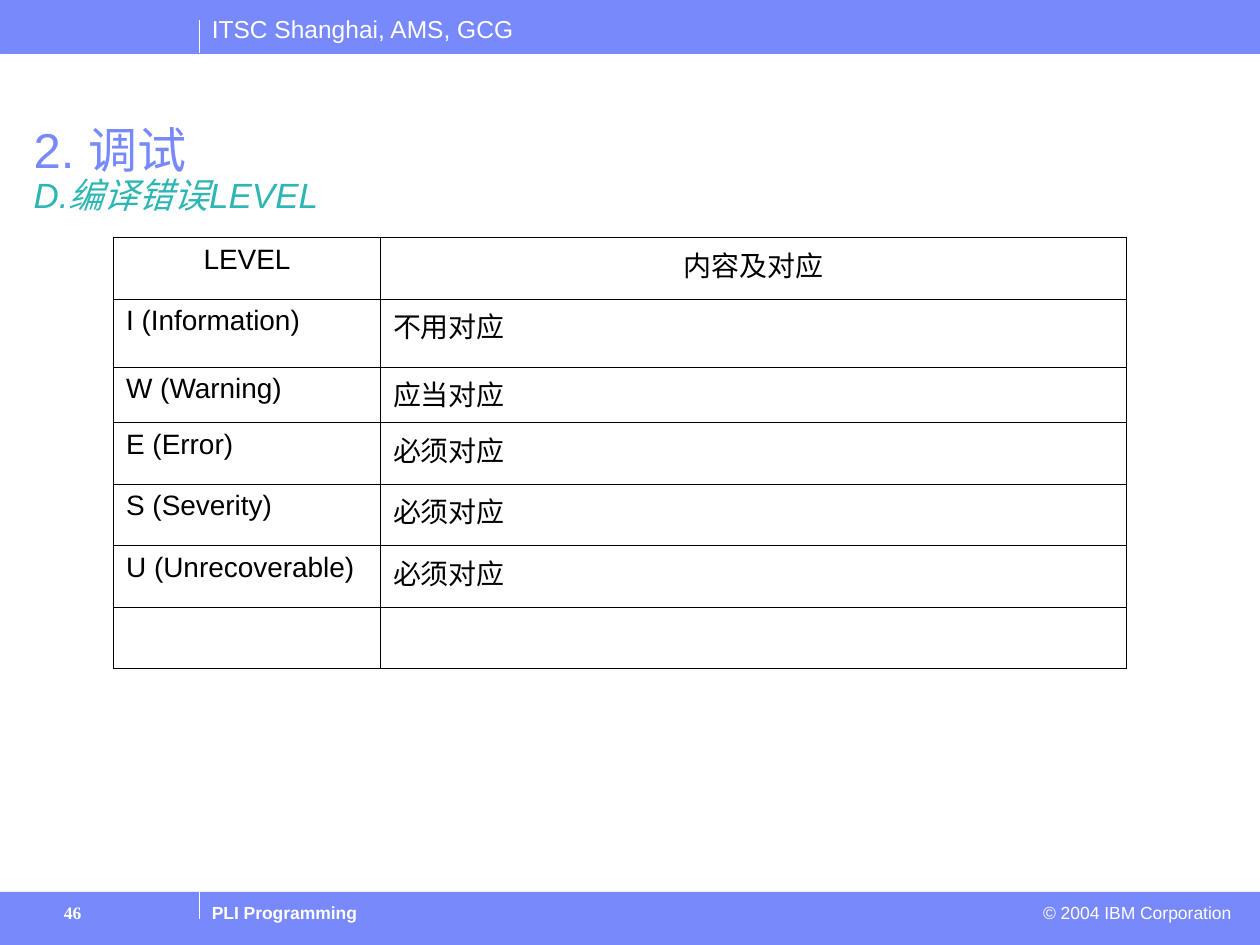
"""Build the slide on compiler error levels."""
from dataclasses import dataclass

from lxml import etree
from pptx import Presentation
from pptx.dml.color import RGBColor
from pptx.enum.shapes import MSO_CONNECTOR, MSO_SHAPE
from pptx.enum.text import MSO_ANCHOR, MSO_AUTO_SIZE, PP_ALIGN
from pptx.oxml.ns import qn
from pptx.util import Cm, Pt

LEFT, CENTER, RIGHT = PP_ALIGN.LEFT, PP_ALIGN.CENTER, PP_ALIGN.RIGHT
TOP = MSO_ANCHOR.TOP
GROW = MSO_AUTO_SIZE.SHAPE_TO_FIT_TEXT
RECTANGLE = MSO_SHAPE.RECTANGLE
STRAIGHT = MSO_CONNECTOR.STRAIGHT


@dataclass(frozen=True)
class Theme:
    """Colours, fonts and type sizes of the slide."""

    band: RGBColor = RGBColor(0x78, 0x89, 0xFB)
    accent: RGBColor = RGBColor(0x2D, 0xB6, 0xB3)
    light: RGBColor = RGBColor(0xFF, 0xFF, 0xFF)
    dark: RGBColor = RGBColor(0, 0, 0)
    sans: str = "Arial"
    serif: str = "Times New Roman"
    title: Pt = Pt(28)
    subtitle: Pt = Pt(20)
    table: Pt = Pt(16)
    header: Pt = Pt(14)
    footer: Pt = Pt(10)
    border: Pt = Pt(0.45)


THEME = Theme()
WIDTH, HEIGHT, BAND_HEIGHT = Cm(25.4), Cm(19.05), Cm(1.07)
DIVIDER_X = Cm(4.02)
FOOTER_Y = Cm(18.06)
COLUMN_WIDTHS = (Cm(5.38), Cm(15.04))
ROW_HEIGHTS = (Cm(1.24), Cm(1.37), Cm(1.12)) + (Cm(1.24),) * 4
LEVELS = (
    ("LEVEL", "内容及对应"),
    ("I (Information)", "不用对应"),
    ("W (Warning)", "应当对应"),
    ("E (Error)", "必须对应"),
    ("S (Severity)", "必须对应"),
    ("U (Unrecoverable)", "必须对应"),
    ("", ""),
)


def style_font(font, size, color, name=THEME.sans, bold=False, italic=False):
    """Apply type settings to a paragraph or run font."""
    font.size, font.name = size, name
    font.bold, font.italic = bold, italic
    font.color.rgb = color


def add_band(slide, top):
    """Draw a full-width coloured band."""
    band = slide.shapes.add_shape(RECTANGLE, 0, top, WIDTH, BAND_HEIGHT)
    band.shadow.inherit = False
    band.fill.solid()
    band.fill.fore_color.rgb = THEME.band
    band.line.color.rgb = THEME.band
    band.line.width = Pt(0.25)


def add_divider(slide, top, bottom):
    """Draw a thin vertical line inside a band."""
    divider = slide.shapes.add_connector(STRAIGHT, DIVIDER_X, top, DIVIDER_X, bottom)
    divider.line.color.rgb = THEME.light
    divider.line.width = Pt(0.75)
    etree.SubElement(divider._element.spPr, qn("a:effectLst"))


def add_frame(slide, left, top, width, height, wrap=True):
    """Add a top-anchored text box and return its text frame."""
    frame = slide.shapes.add_textbox(left, top, width, height).text_frame
    frame.word_wrap = wrap
    frame.vertical_anchor = TOP
    return frame


def add_label(slide, text, box, size, align=LEFT, bold=False, wrap=True):
    """Add a one-line light label that fits its text."""
    frame = add_frame(slide, *box, wrap=wrap)
    frame.auto_size = GROW
    label = frame.paragraphs[0]
    label.text, label.alignment = text, align
    style_font(label.font, size, THEME.light, bold=bold)


def add_title(slide):
    """Add the heading with its italic second line."""
    frame = add_frame(slide, Cm(0.43), Cm(2.41), Cm(22.91), Cm(1.4))
    heading = frame.paragraphs[0]
    heading.line_spacing = 0.9
    topic = heading.add_run()
    topic.text = "2. 调试"
    style_font(topic.font, THEME.title, THEME.band)
    heading.add_line_break()
    section = heading.add_run()
    section.text = "D.编译错误LEVEL"
    style_font(section.font, THEME.subtitle, THEME.accent, italic=True)


def add_page_number(slide, number):
    """Add the indented page number in the lower band."""
    frame = add_frame(slide, Cm(0.43), FOOTER_Y, Cm(2.79), Cm(0.89))
    page = frame.paragraphs[0]
    page.text = number
    page._p.get_or_add_pPr().set("marL", str(Cm(0.61)))
    style_font(page.font, THEME.footer, THEME.light, THEME.serif, bold=True)


def set_borders(cell):
    """Rule all four sides of a table cell."""
    properties = cell._tc.get_or_add_tcPr()
    for side in ("a:lnL", "a:lnR", "a:lnT", "a:lnB"):
        border = etree.SubElement(properties, qn(side), w=str(THEME.border))
        fill = etree.SubElement(border, qn("a:solidFill"))
        etree.SubElement(fill, qn("a:srgbClr"), val=str(THEME.dark))


def add_level_table(slide):
    """Add the table of error levels and required responses."""
    table = slide.shapes.add_table(
        len(LEVELS), len(COLUMN_WIDTHS), Cm(2.29), Cm(4.79),
        sum(COLUMN_WIDTHS), sum(ROW_HEIGHTS),
    ).table
    table.first_row = table.horz_banding = False
    for column, width in zip(table.columns, COLUMN_WIDTHS):
        column.width = width
    for index, (row, texts) in enumerate(zip(table.rows, LEVELS)):
        row.height = ROW_HEIGHTS[index]
        for cell, text in zip(row.cells, texts):
            set_borders(cell)
            cell.fill.background()
            entry = cell.text_frame.paragraphs[0]
            entry.text = text
            entry.alignment = LEFT if index else CENTER
            style_font(entry.font, THEME.table, THEME.dark)


def main():
    """Assemble and save the slide."""
    deck = Presentation()
    deck.slide_width, deck.slide_height = WIDTH, HEIGHT
    slide = deck.slides.add_slide(deck.slide_layouts[6])
    footer_top = HEIGHT - BAND_HEIGHT
    add_band(slide, footer_top)
    add_band(slide, 0)
    add_label(slide, "ITSC Shanghai, AMS, GCG",
              (DIVIDER_X, Cm(0.15), Cm(6.63), Cm(0.86)), THEME.header, wrap=False)
    add_label(slide, "PLI Programming",
              (DIVIDER_X, FOOTER_Y, Cm(16.51), Cm(0.69)), THEME.footer, bold=True)
    add_label(slide, "© 2004 IBM Corporation",
              (Cm(15.8), FOOTER_Y, Cm(9.27), Cm(0.69)), THEME.footer, align=RIGHT)
    add_divider(slide, Cm(0.41), BAND_HEIGHT)
    add_divider(slide, footer_top, Cm(18.52))
    add_title(slide)
    add_level_table(slide)
    add_page_number(slide, "46")
    deck.save("out.pptx")


if __name__ == "__main__":
    main()
